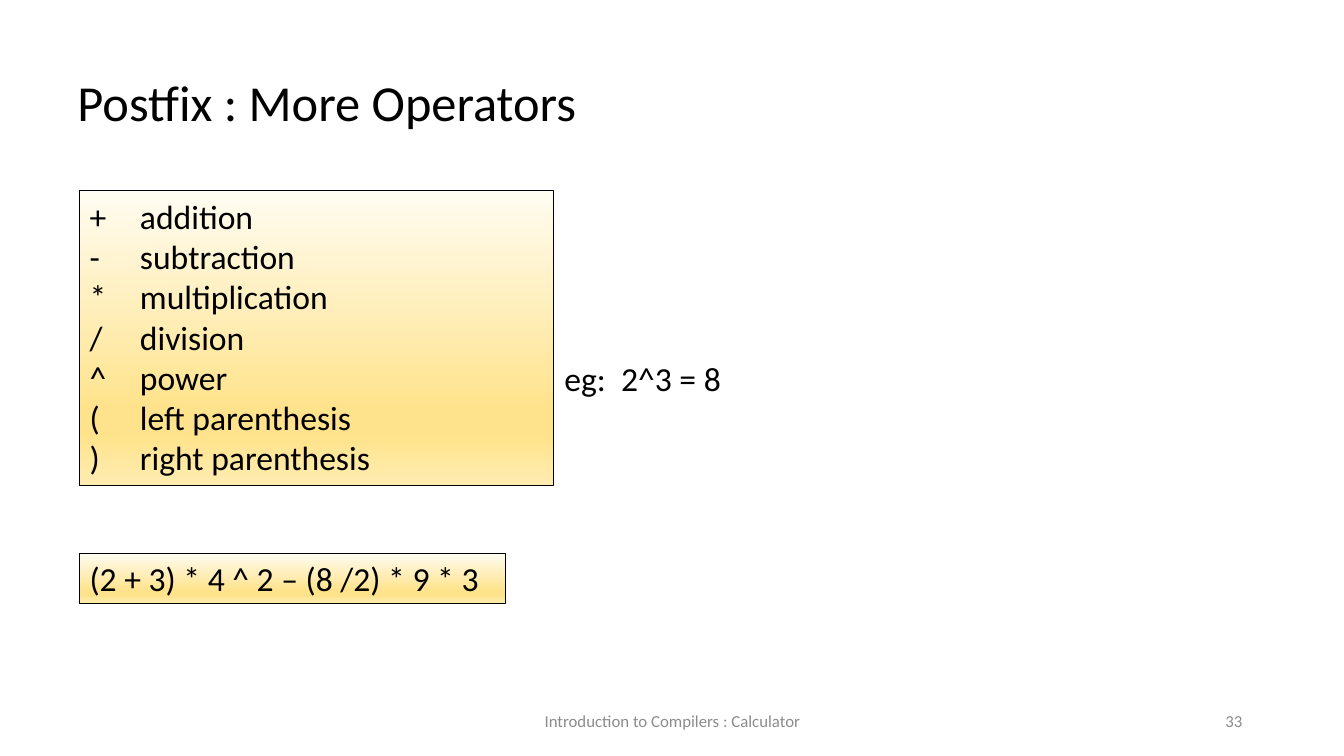
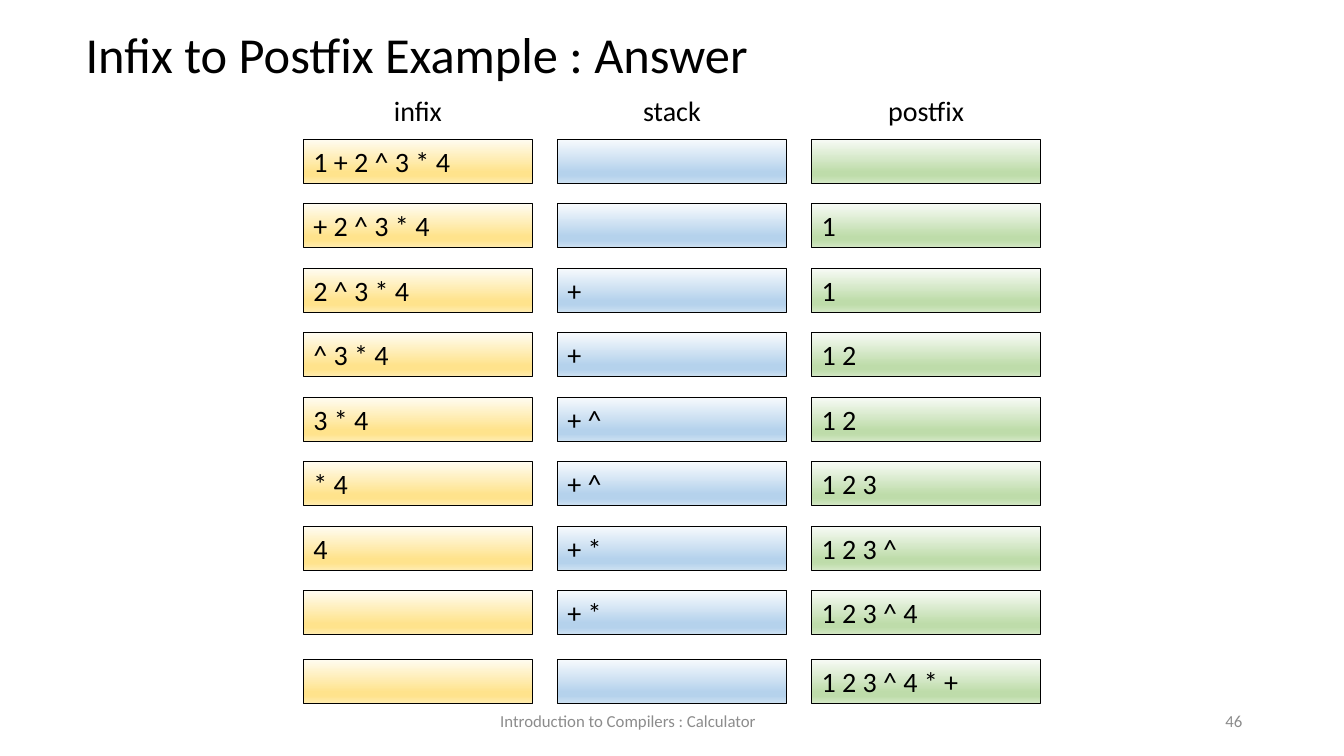
from lxml.etree import SubElement as Sub
from pptx import Presentation
from pptx.dml.color import RGBColor as RGB
from pptx.enum.shapes import MSO_SHAPE as Shape
from pptx.enum.text import MSO_ANCHOR as Anchor, PP_ALIGN as Align
from pptx.oxml.ns import qn
from pptx.util import Pt

PX = 9144  # 100 px to the inch
FONT = "Calibri"
BLACK = RGB(0x00, 0x00, 0x00)
GRAY = RGB(0x8C, 0x8C, 0x8C)

# Gradients: top, deep band, bottom
GOLD = RGB(0xFF, 0xFC, 0xF2), RGB(0xFF, 0xE3, 0x8C), RGB(0xFF, 0xEC, 0xB2)
BLUE = RGB(0xF7, 0xFA, 0xFD), RGB(0xB5, 0xD2, 0xEC), RGB(0xCE, 0xE1, 0xF2)
GREEN = RGB(0xF8, 0xFB, 0xF6), RGB(0xBE, 0xDC, 0xAA), RGB(0xD4, 0xE8, 0xC6)

deck = Presentation()
deck.slide_width, deck.slide_height = 1333 * PX, 750 * PX


def write(shape, lines, size, color=BLACK, align=Align.LEFT, anchor=Anchor.TOP):
    frame = shape.text_frame
    frame.word_wrap = True
    frame.vertical_anchor = anchor
    for i, line in enumerate(lines):
        para = frame.add_paragraph() if i else frame.paragraphs[0]
        para.alignment = align
        run = para.add_run()
        run.text = line
        run.font.name, run.font.size = FONT, Pt(size)
        run.font.color.rgb = color


def panel(slide, box, shades, lines, size):
    shape = slide.shapes.add_shape(Shape.RECTANGLE, *[n * PX for n in box])
    shape.shadow.inherit = False
    shape.line.color.rgb, shape.line.width = BLACK, Pt(0.75)
    shape.fill.gradient()
    shape.fill.gradient_angle = 270
    # Four gradient stops
    stops = shape.element.spPr.find(".//" + qn("a:gsLst"))
    for stop in list(stops):
        stops.remove(stop)
    top, deep, low = shades
    for at, color in (0, top), (74, deep), (83, deep), (100, low):
        stop = Sub(stops, qn("a:gs"), pos=str(at * 1000))
        Sub(stop, qn("a:srgbClr"), val=str(color))
    write(shape, lines, size)


# Slides with title, footer and number
slides = []
for title, left, top, foot, num in [
    ("Postfix : More Operators", 67, 66, 442, "33"),
    ("Infix to Postfix Example : Answer", 75, 18, 398, "46"),
]:
    slide = deck.slides.add_slide(deck.slide_layouts[6])
    slides.append(slide)
    for text, box, size, color, align, anchor in [
        (title, (left, top, 1141, 71), 36, BLACK, Align.LEFT, Anchor.TOP),
        ("Introduction to Compilers : Calculator", (foot, 695, 450, 40),
         12, GRAY, Align.CENTER, Anchor.MIDDLE),
        (num, (942, 695, 300, 40), 12, GRAY, Align.RIGHT, Anchor.MIDDLE),
    ]:
        label = slide.shapes.add_textbox(*[n * PX for n in box])
        write(label, [text], size, color, align, anchor)
first, second = slides

# Operator list and sample expression
names = [
    ("+", "addition"), ("-", "subtraction"), ("*", "multiplication"),
    ("/", "division"), ("^", "power"),
    ("(", "left parenthesis"), (")", "right parenthesis"),
]
panel(first, (79, 189, 470, 293), GOLD, ["\t".join(n) for n in names], 24)
note = first.shapes.add_textbox(550 * PX, 350 * PX, 526 * PX, 50 * PX)
write(note, ["eg:  2^3 = 8"], 24)
panel(first, (79, 549, 422, 50), GOLD, ["(2 + 3) * 4 ^ 2 – (8 /2) * 9 * 3"], 24)

# Conversion steps, one column for each stage
LEFT, TOP, WIDE, HIGH = 301, 138, 227, 44
STEP_X, STEP_Y = 252, 64
LAST_GAP = 4  # the final row sits a little lower
heads = [("infix", GOLD), ("stack", BLUE), ("postfix", GREEN)]
steps = [
    ("1 + 2 ^ 3 * 4", "", ""),
    ("+ 2 ^ 3 * 4", "", "1"),
    ("2 ^ 3 * 4", "+", "1"),
    ("^ 3 * 4", "+", "1 2"),
    ("3 * 4", "+ ^", "1 2"),
    ("* 4", "+ ^", "1 2 3"),
    ("4", "+ *", "1 2 3 ^"),
    ("", "+ *", "1 2 3 ^ 4"),
    ("", "", "1 2 3 ^ 4 * +"),
]
for col, (head, shades) in enumerate(heads):
    x = LEFT + col * STEP_X
    label = second.shapes.add_textbox(x * PX, 88 * PX, WIDE * PX, HIGH * PX)
    write(label, [head], 20, align=Align.CENTER)
    for row, step in enumerate(steps):
        y = TOP + row * STEP_Y
        if row == len(steps) - 1:
            y += LAST_GAP
        text = step[col]
        panel(second, (x, y, WIDE, HIGH), shades, [text] if text else [], 20)

deck.save("out.pptx")
